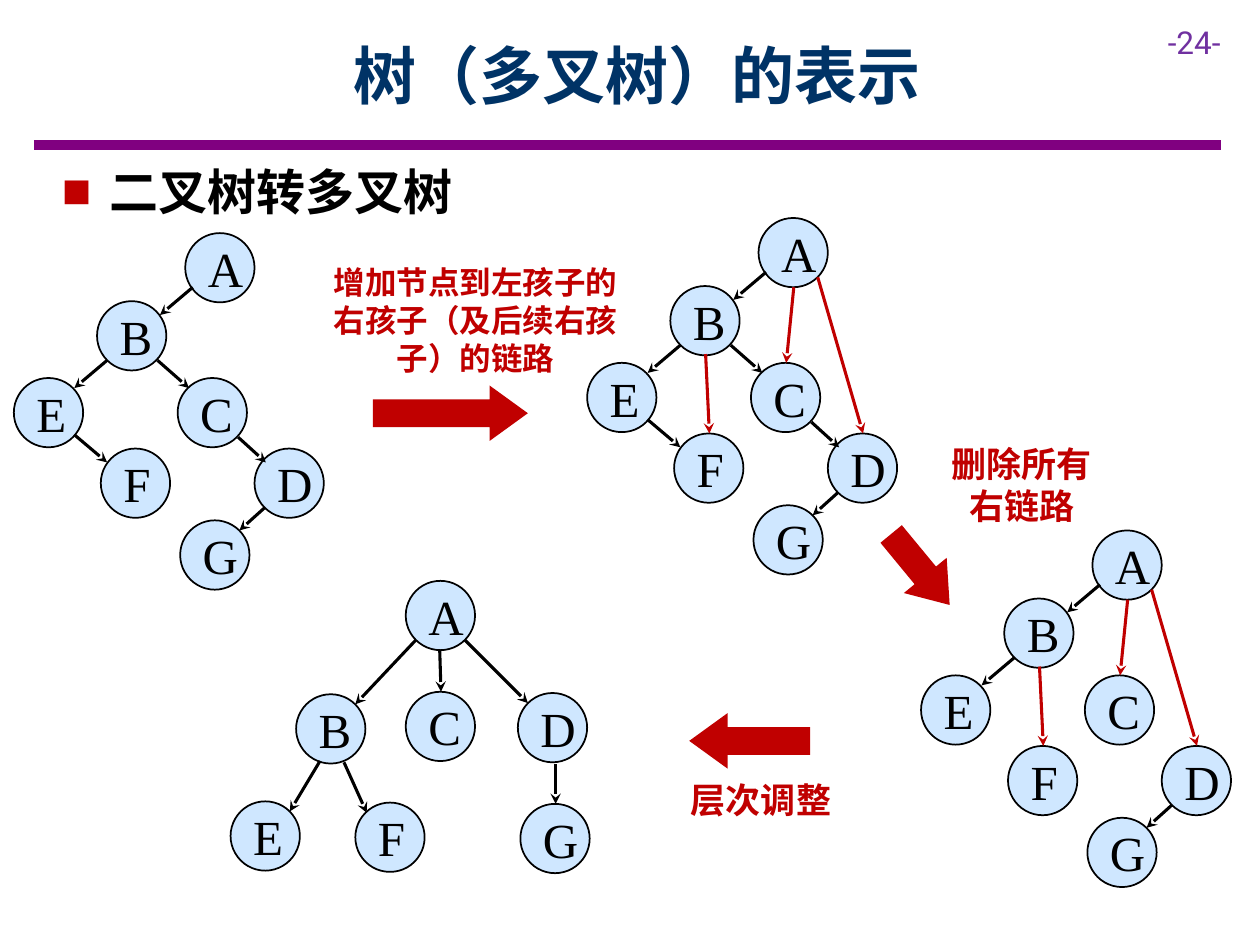
"""Build the slide that turns a binary tree back into a multiway tree."""
from lxml import etree
from pptx import Presentation
from pptx.dml.color import RGBColor
from pptx.enum import shapes, text
from pptx.oxml.ns import qn
from pptx.util import Inches, Pt

BLACK = RGBColor(0x00, 0x00, 0x00)
RED = RGBColor(0xC0, 0x00, 0x00)
NAVY = RGBColor(0x00, 0x33, 0x66)
PURPLE = RGBColor(0x80, 0x00, 0x80)
VIOLET = RGBColor(0x70, 0x30, 0xA0)
SKY = RGBColor(0x99, 0xCC, 0xFF)
CJK = "Noto Sans CJK SC"
NODE = 0.55


def style_run(p, size, font, color, bold=False):
    r = p.runs[0]
    r.font.size, r.font.name, r.font.bold = Pt(size), font, bold
    r.font.color.rgb = color
    if font == CJK:
        etree.SubElement(r.font._element, qn("a:ea"), typeface=font)


def add_line(x1, y1, x2, y2, color, width, arrow=True):
    cxn = s.shapes.add_connector(
        shapes.MSO_CONNECTOR.STRAIGHT, Inches(x1), Inches(y1), Inches(x2), Inches(y2))
    cxn.line.color.rgb = color
    cxn.line.width = Pt(width)
    if arrow:
        etree.SubElement(cxn.line._get_or_add_ln(), qn("a:headEnd"), type="stealth")
    etree.SubElement(cxn._element.spPr, qn("a:effectLst"))


prs = Presentation()
prs.slide_width, prs.slide_height = Inches(10), Inches(7.5)
s = prs.slides.add_slide(prs.slide_layouts[1])

add_line(0.27, 1.15, 9.69, 1.15, PURPLE, 6, arrow=False)

title, body = s.placeholders
title.left, title.top, title.width, title.height = (Inches(v) for v in (0.9, 0.09, 8.31, 1))
tf = title.text_frame
tf.text = "树（多叉树）的表示"
tf.vertical_anchor = text.MSO_ANCHOR.MIDDLE
p = tf.paragraphs[0]
p.alignment = text.PP_ALIGN.CENTER
style_run(p, 36, CJK, NAVY, True)

body.left, body.top, body.width, body.height = (Inches(v) for v in (0.39, 1.23, 4.06, 0.57))
tf = body.text_frame
tf.text = "二叉树转多叉树"
p = tf.paragraphs[0]
p.space_before, p.space_after = Pt(0), Pt(6)
style_run(p, 28, CJK, BLACK, True)
pPr = p._p.get_or_add_pPr()
pPr.set("marL", str(Inches(0.38)))
pPr.set("indent", str(Inches(-0.38)))
bullet_color = etree.SubElement(pPr, qn("a:buClr"))
etree.SubElement(bullet_color, qn("a:srgbClr"), val=str(RED))
etree.SubElement(pPr, qn("a:buChar"), char="■")

binary_nodes = {
    "A": (0, 0), "B": (-0.7, 0.54), "C": (-0.06, 1.15), "D": (0.55, 1.71),
    "E": (-1.36, 1.15), "F": (-0.67, 1.71), "G": (-0.04, 2.28)}
multiway_nodes = {
    "A": (0, 0), "B": (-0.87, 0.9), "C": (0, 0.88), "D": (0.89, 0.89),
    "E": (-1.39, 1.75), "F": (-0.4, 1.76), "G": (0.91, 1.77)}
left_links = [
    (-0.2, 0.65, 0.06, 0.43), (-0.88, 1.23, -0.62, 1.01), (0.43, 2.36, 0.63, 2.18)]
right_links = [
    (0.64, 1.82, 0.42, 1.62), (0.03, 1.23, -0.22, 1.01), (-0.62, 1.82, -0.88, 1.6)]
added_links = [
    (0.22, 1.15, 0.28, 0.55), (0.83, 1.71, 0.47, 0.47), (-0.39, 1.71, -0.42, 1.08)]
multiway_links = [
    (0.28, 0.88, 0.27, 0.55), (0.97, 0.97, 0.47, 0.47), (-0.4, 0.98, 0.08, 0.47),
    (-0.92, 1.83, -0.68, 1.43), (-0.31, 1.84, -0.49, 1.44), (1.19, 1.77, 1.19, 1.45)]

trees = [
    (1.47, 1.85, binary_nodes, left_links + right_links, []),
    (6.02, 1.73, binary_nodes, left_links + right_links, added_links),
    (8.67, 4.21, binary_nodes, left_links, added_links),
    (3.22, 4.61, multiway_nodes, multiway_links, [])]
for x, y, nodes, black_links, red_links in trees:
    for name, (dx, dy) in nodes.items():
        sp = s.shapes.add_shape(
            shapes.MSO_SHAPE.OVAL, Inches(x + dx), Inches(y + dy), Inches(NODE), Inches(NODE))
        sp.shadow.inherit = False
        sp.fill.solid()
        sp.fill.fore_color.rgb = SKY
        srgb = sp._element.spPr.find(".//" + qn("a:srgbClr"))
        etree.SubElement(srgb, qn("a:alpha"), val="47000")
        sp.line.color.rgb = BLACK
        sp.line.width = Pt(1)
        tf = sp.text_frame
        tf.margin_left = tf.margin_right = tf.margin_top = tf.margin_bottom = Inches(0.1)
        tf.vertical_anchor = text.MSO_ANCHOR.MIDDLE
        tf.text = name
        p = tf.paragraphs[0]
        p.alignment = text.PP_ALIGN.CENTER
        style_run(p, 28, "Times New Roman", BLACK)
    for links, color in ((black_links, BLACK), (red_links, RED)):
        for x1, y1, x2, y2 in links:
            add_line(x + x1, y + y1, x + x2, y + y2, color, 1.75)

for x, y, width, angle in [(2.96, 3.06, 1.23, 0), (6.94, 4.3, 0.73, 50.5), (5.47, 5.66, 0.96, 180)]:
    sp = s.shapes.add_shape(
        shapes.MSO_SHAPE.RIGHT_ARROW, Inches(x), Inches(y), Inches(width), Inches(0.44))
    sp.adjustments[0], sp.adjustments[1] = 0.5, 0.69
    sp.rotation = angle
    sp.shadow.inherit = False
    sp.fill.solid()
    sp.fill.fore_color.rgb = RED
    sp.line.fill.background()

CENTER, LEFT = text.PP_ALIGN.CENTER, text.PP_ALIGN.LEFT
labels = [
    ("增加节点到左孩子的右孩子（及后续右孩子）的链路", 2.47, 2.04, 2.61, 1.01, 18, CJK, RED, CENTER),
    ("删除所有右链路", 7.37, 3.46, 1.48, 0.77, 20, CJK, RED, CENTER),
    ("层次调整", 5.3, 6.13, 1.48, 0.44, 20, CJK, RED, CENTER),
    ("-24-", 9.17, 0.13, 0.83, 0.4, 18, "Roboto", VIOLET, LEFT)]
for words, x, y, width, height, size, font, color, align in labels:
    tf = s.shapes.add_textbox(Inches(x), Inches(y), Inches(width), Inches(height)).text_frame
    tf.word_wrap = True
    tf.auto_size = text.MSO_AUTO_SIZE.SHAPE_TO_FIT_TEXT
    tf.text = words
    p = tf.paragraphs[0]
    p.alignment = align
    p.space_after = Pt(6)
    style_run(p, size, font, color, font == CJK)

prs.save("out.pptx")
